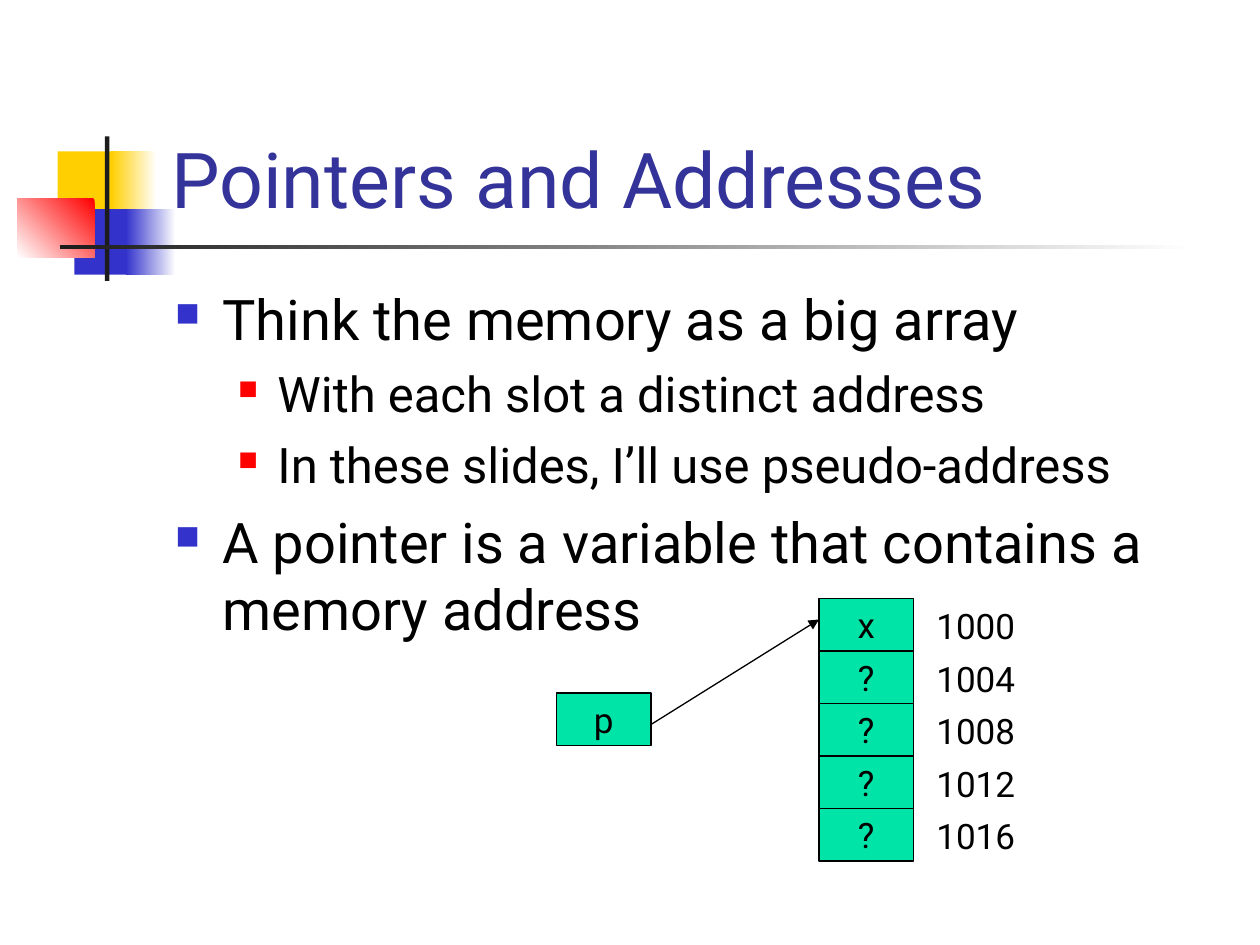
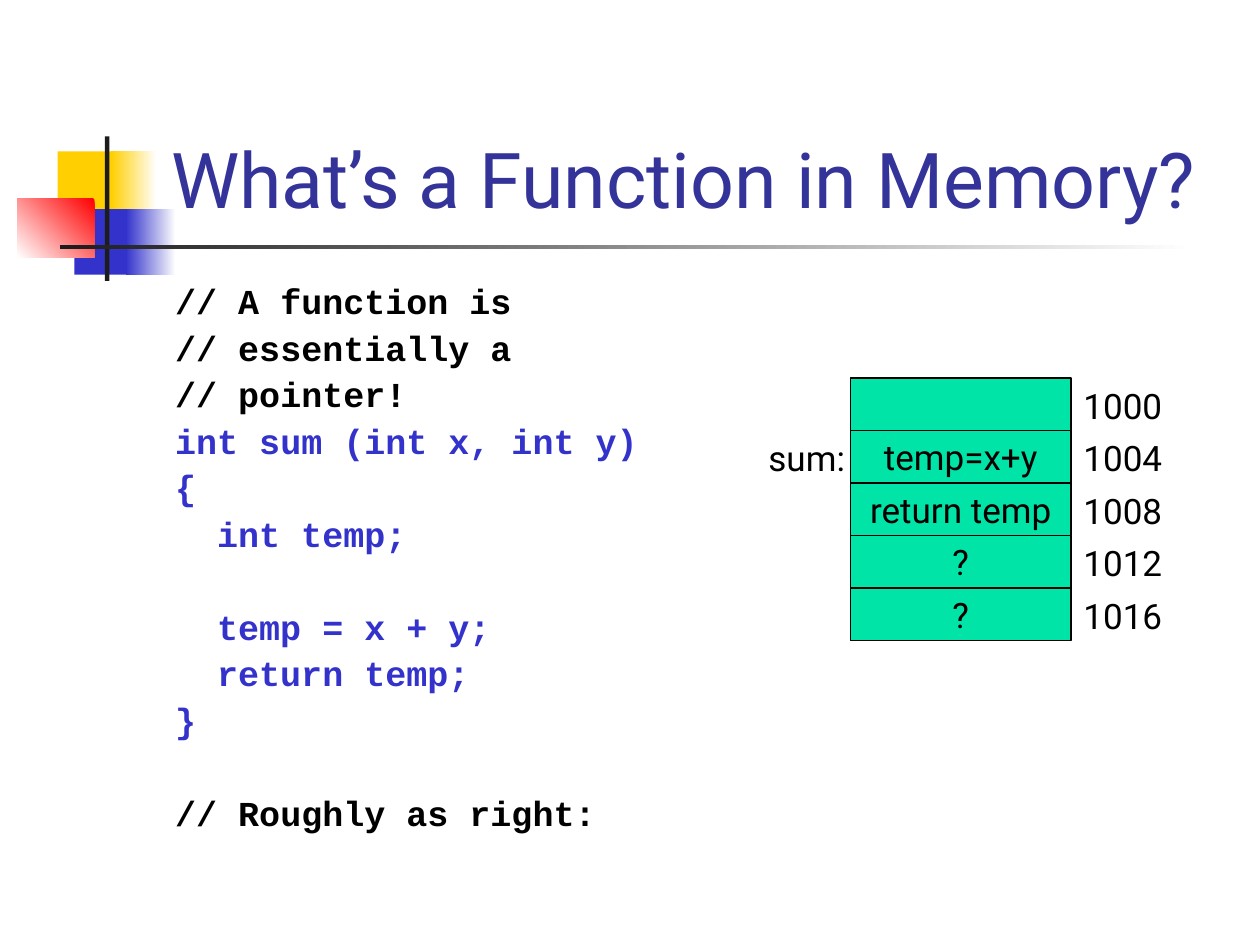
"""Build two slides about pointers and functions in memory."""
from dataclasses import dataclass

from lxml.etree import SubElement
from pptx import Presentation
from pptx.dml.color import RGBColor
from pptx.enum.shapes import MSO_CONNECTOR, MSO_SHAPE
from pptx.enum.text import MSO_ANCHOR, PP_ALIGN
from pptx.oxml.ns import qn
from pptx.util import Pt

COLORS = {
    "white": "FFFFFF", "black": "000000", "charcoal": "1C1C1C", "yellow": "FFCF01",
    "blue": "3333CC", "red": "FF0000", "navy": "333399", "mint": "00E4A8",
}
TEXT_FONT = "Roboto"
CODE_FONT = "Courier New"
CELL_HEIGHT = 30
CODE_LINE = 26.5


@dataclass(frozen=True)
class Area:
    left: float
    top: float
    width: float
    height: float

    def lengths(self) -> tuple:
        return Pt(self.left), Pt(self.top), Pt(self.width), Pt(self.height)


@dataclass(frozen=True)
class Ornament:
    area: Area
    start: str
    end: str = ""
    angle: float = 180


@dataclass(frozen=True)
class Bullet:
    size: float
    margin: float
    hang: float
    before: float
    color: str
    percent: int


@dataclass(frozen=True)
class CodeLine:
    text: str
    color: str = "blue"
    indent: float = 0
    gap: float = 0


ORNAMENTS = (
    Ornament(Area(33, 86.5, 34.5, 37.5), "yellow"),
    Ornament(Area(63.5, 86.5, 26, 37.5), "white", "yellow"),
    Ornament(Area(42.5, 119.5, 33, 37.5), "blue"),
    Ornament(Area(72, 119.5, 28.5, 37.5), "white", "blue"),
    Ornament(Area(10, 113.5, 44, 33.5), "red", "white", 135),
    Ornament(Area(60, 78, 2.5, 82.5), "charcoal"),
    Ornament(Area(34.5, 140, 648, 2.5), "white", "charcoal"),
)
TITLE_AREA = Area(90.75, 16.5, 613.5, 115.25)
TOPIC = Bullet(32, 27, 27, 8, "blue", 60)
DETAIL = Bullet(28, 58.5, 22.5, 7, "red", 55)
POINTS = (
    (TOPIC, "Think the memory as a big array"),
    (DETAIL, "With each slot a distinct address"),
    (DETAIL, "In these slides, I’ll use pseudo-address"),
    (TOPIC, "A pointer is a variable that contains a memory address"),
)
CODE = (
    CodeLine("// A function is", "black"),
    CodeLine("// essentially a", "black"),
    CodeLine("// pointer!", "black"),
    CodeLine("int sum (int x, int y)"),
    CodeLine("{"),
    CodeLine("int temp;", indent=24),
    CodeLine("temp = x + y;", indent=24, gap=CODE_LINE),
    CodeLine("return temp;", indent=24),
    CodeLine("}"),
    CodeLine("// Roughly as right:", "black", gap=CODE_LINE),
)


def rgb(name: str) -> RGBColor:
    return RGBColor.from_string(COLORS[name])


def add_text(frame, text: str, *, size: float = 20, font: str = TEXT_FONT,
             color: str = "black", bold: bool = False, align=PP_ALIGN.LEFT,
             before: float = 0, spacing: float = 1, margin: float = 0, hang: float = 0):
    first = frame.paragraphs[0]
    para = frame.add_paragraph() if first.runs else first
    para.alignment = align
    para.space_before = Pt(before)
    para.line_spacing = spacing
    properties = para._p.get_or_add_pPr()
    properties.set("marL", str(Pt(margin)))
    properties.set("indent", str(Pt(-hang)))
    span = para.add_run()
    span.text = text
    span.font.size = Pt(size)
    span.font.name = font
    span.font.bold = bold
    span.font.color.rgb = rgb(color)
    return para


def add_box(shapes, area: Area, anchor=MSO_ANCHOR.TOP):
    frame = shapes.add_textbox(*area.lengths()).text_frame
    frame.word_wrap = True
    frame.vertical_anchor = anchor
    return frame


def add_rectangle(shapes, area: Area):
    box = shapes.add_shape(MSO_SHAPE.RECTANGLE, *area.lengths())
    box.shadow.inherit = False
    return box


def add_ornament(shapes, ornament: Ornament) -> None:
    box = add_rectangle(shapes, ornament.area)
    box.line.fill.background()
    if not ornament.end:
        box.fill.solid()
        box.fill.fore_color.rgb = rgb(ornament.start)
        return
    box.fill.gradient()
    box.fill.gradient_angle = 360 - ornament.angle
    for stop, name in zip(box.fill.gradient_stops, (ornament.start, ornament.end)):
        stop.color.rgb = rgb(name)


def add_cell(shapes, area: Area, text: str) -> None:
    box = add_rectangle(shapes, area)
    box.fill.solid()
    box.fill.fore_color.rgb = rgb("mint")
    box.line.color.rgb = rgb("black")
    box.line.width = Pt(0.75)
    frame = box.text_frame
    frame.word_wrap = False
    frame.vertical_anchor = MSO_ANCHOR.MIDDLE
    if text:
        add_text(frame, text, align=PP_ALIGN.CENTER)


def add_memory(shapes, first: Area, contents: tuple, label_left: float, label_width: float) -> None:
    for index, content in enumerate(contents):
        top = first.top + index * CELL_HEIGHT
        add_cell(shapes, Area(first.left, top, first.width, first.height), content)
        label = add_box(shapes, Area(label_left, top, label_width, 32))
        add_text(label, str(1000 + 4 * index))


def add_bullet(frame, bullet: Bullet, text: str) -> None:
    para = add_text(frame, text, size=bullet.size, before=bullet.before,
                    margin=bullet.margin, hang=bullet.hang)
    properties = para._p.get_or_add_pPr()
    color = SubElement(properties, qn("a:buClr"))
    SubElement(color, qn("a:srgbClr"), val=COLORS[bullet.color])
    SubElement(properties, qn("a:buSzPct"), val=str(bullet.percent * 1000))
    SubElement(properties, qn("a:buChar"), char="■")


def add_arrow(shapes, start: tuple, end: tuple) -> None:
    arrow = shapes.add_connector(MSO_CONNECTOR.STRAIGHT, *map(Pt, start + end))
    arrow.line.color.rgb = rgb("black")
    arrow.line.width = Pt(0.75)
    SubElement(arrow.line._get_or_add_ln(), qn("a:tailEnd"), type="triangle")
    SubElement(arrow._element.spPr, qn("a:effectLst"))


def add_page(deck, title: str):
    page = deck.slides.add_slide(deck.slide_layouts[6])
    for ornament in ORNAMENTS:
        add_ornament(page.shapes, ornament)
    frame = add_box(page.shapes, TITLE_AREA, MSO_ANCHOR.BOTTOM)
    add_text(frame, title, size=44, color="navy")
    return page


def build_pointers(deck) -> None:
    shapes = add_page(deck, "Pointers and Addresses").shapes
    body = add_box(shapes, Area(93, 159, 612, 324))
    for bullet, text in POINTS:
        add_bullet(body, bullet, text)
    add_memory(shapes, Area(468, 342, 54, CELL_HEIGHT), ("x", "?", "?", "?", "?"), 528, 102)
    add_cell(shapes, Area(318, 396, 54, CELL_HEIGHT), "p")
    add_arrow(shapes, (372, 414), (468, 354))


def build_function(deck) -> None:
    page = add_page(deck, "What’s a Function in Memory?")
    body = add_box(page.shapes, Area(93, 159, 279, 324))
    for line in CODE:
        add_text(body, line.text, font=CODE_FONT, color=line.color, bold=True,
                 before=5 + line.gap, spacing=0.9, margin=line.indent)
    shapes = page.shapes.add_group_shape().shapes
    contents = ("", "temp=x+y", "return temp", "?", "?")
    add_memory(shapes, Area(486, 216, 126, CELL_HEIGHT), contents, 612, 60)
    add_text(add_box(shapes, Area(432, 246, 60, 32)), "sum:")


def main() -> None:
    deck = Presentation()
    deck.slide_width, deck.slide_height = Pt(720), Pt(540)
    build_pointers(deck)
    build_function(deck)
    deck.save("out.pptx")


if __name__ == "__main__":
    main()
